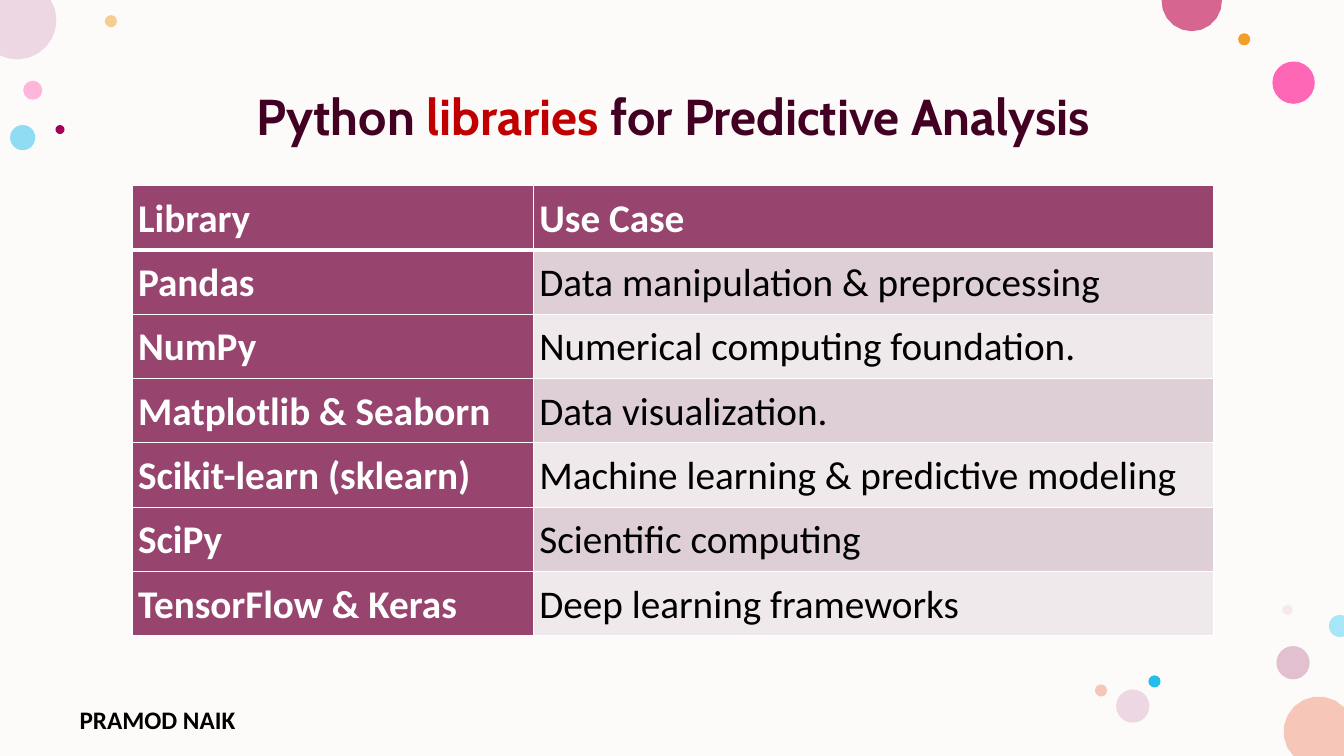
from math import cos, radians, sin

from lxml import etree
from pptx import Presentation
from pptx.dml.color import RGBColor
from pptx.enum.shapes import MSO_SHAPE
from pptx.enum.text import PP_ALIGN
from pptx.oxml.ns import qn
from pptx.util import Inches, Pt

SLIDE_WIDTH, SLIDE_HEIGHT = 13.33, 7.5

CREAM = RGBColor(0xFD, 0xFB, 0xF9)
WHITE = RGBColor(0xFF, 0xFF, 0xFF)
BLACK = RGBColor(0x00, 0x00, 0x00)
WINE = RGBColor(0x42, 0x00, 0x23)
RED = RGBColor(0xC0, 0x00, 0x00)
PLUM = RGBColor(0x97, 0x44, 0x6E)
BAND_DARK = RGBColor(0xDD, 0xCF, 0xD5)
BAND_LIGHT = RGBColor(0xEF, 0xE9, 0xEB)
PINK = RGBColor(0xFF, 0x75, 0xBD)
HOT_PINK = RGBColor(0xFF, 0x2F, 0x9C)
ORANGE = RGBColor(0xF3, 0x9E, 0x29)
MAUVE = RGBColor(0xC9, 0x87, 0xA8)
CYAN = RGBColor(0x24, 0xBE, 0xEE)
PALE_CYAN = RGBColor(0xA7, 0xE5, 0xF8)
BLUSH = RGBColor(0xE3, 0xBE, 0xBE)
LILAC = RGBColor(0xED, 0xD7, 0xE2)
PEACH = RGBColor(0xF6, 0xC7, 0xB9)
ROSE = RGBColor(0xD6, 0x65, 0x8F)
MAGENTA = RGBColor(0xA4, 0x00, 0x56)

DOTS = [
    (0.23, 0.8, 0.19, PINK, 50),
    (1.04, 0.15, 0.12, ORANGE, 50),
    (12.66, 6.41, 0.33, MAUVE, 50),
    (0.1, 1.24, 0.25, CYAN, 50),
    (12.62, 0.61, 0.42, HOT_PINK, 72),
    (12.28, 0.33, 0.12, ORANGE, 100),
    (12.72, 6, 0.1, BLUSH, 28),
    (11.39, 6.7, 0.12, CYAN, 100),
    (11.07, 6.84, 0.33, LILAC, 100),
    (10.86, 6.79, 0.12, PEACH, 100),
    (0.55, 1.24, 0.09, MAGENTA, 100),
]
EDGE_CIRCLES = [
    (13.08, 7.26, 0.35, 136, 316, [(SLIDE_WIDTH, SLIDE_HEIGHT)], PEACH),
    (0.17, 0.2, 0.39, -31, 116, [(0, 0)], LILAC),
    (11.82, 0.01, 0.3, -2, 182, [], ROSE),
    (13.29, 6.21, 0.11, 69, 291, [], PALE_CYAN),
]
LIBRARIES = [
    ("Library", "Use Case"),
    ("Pandas", "Data manipulation & preprocessing"),
    ("NumPy", "Numerical computing foundation."),
    ("Matplotlib & Seaborn", "Data visualization."),
    ("Scikit-learn (sklearn)", "Machine learning & predictive modeling"),
    ("SciPy", "Scientific computing"),
    ("TensorFlow & Keras", "Deep learning frameworks"),
]


def paint(shape, color, opacity=100):
    shape.shadow.inherit = False
    shape.line.fill.background()
    shape.fill.solid()
    shape.fill.fore_color.rgb = color
    if opacity < 100:
        color_element = shape.fill._xPr.find(qn("a:solidFill"))[0]
        etree.SubElement(color_element, qn("a:alpha"), val=str(opacity * 1000))


def format_run(run, font_name, size, color, bold=True):
    run.font.name = font_name
    run.font.size = Pt(size)
    run.font.bold = bold
    run.font.color.rgb = color


def add_preset(slide, preset, left, top, width, height, color, opacity=100):
    shape = slide.shapes.add_shape(
        preset, Inches(left), Inches(top), Inches(width), Inches(height))
    paint(shape, color, opacity)


def add_dots(slide):
    for left, top, diameter, color, opacity in DOTS:
        add_preset(slide, MSO_SHAPE.OVAL, left, top, diameter, diameter, color, opacity)


def add_edge_circles(slide, width, height, steps=10):
    for center_x, center_y, radius, start, end, corners, color in EDGE_CIRCLES:
        angles = [radians(start + (end - start) * step / steps) for step in range(steps + 1)]
        outline = [
            (min(max(center_x + radius * cos(angle), 0), width),
             min(max(center_y + radius * sin(angle), 0), height))
            for angle in angles
        ] + corners
        points = [(Inches(x), Inches(y)) for x, y in outline]
        builder = slide.shapes.build_freeform(*points[0])
        builder.add_line_segments(points[1:], close=True)
        paint(builder.convert_to_shape(), color)


def add_text(slide, left, top, width, height, parts, font_name, size):
    box = slide.shapes.add_textbox(Inches(left), Inches(top), Inches(width), Inches(height))
    box.text_frame.word_wrap = True
    paragraph = box.text_frame.paragraphs[0]
    for text, color in parts:
        run = paragraph.add_run()
        run.text = text
        format_run(run, font_name, size, color)
    return paragraph


def add_title(slide, left, top, width, height):
    parts = [("Python ", WINE), ("libraries", RED), (" for Predictive Analysis", WINE)]
    paragraph = add_text(slide, left, top, width, height, parts, "Cabin", 36)
    paragraph.alignment = PP_ALIGN.CENTER
    paragraph.line_spacing = 0.9
    paragraph.space_before = Pt(10)


def set_borders(cell, bottom):
    properties = cell._tc.get_or_add_tcPr()
    for side, points in (("L", 1), ("R", 1), ("T", 1), ("B", bottom)):
        line = etree.SubElement(properties, qn(f"a:ln{side}"), w=str(Pt(points)))
        fill = etree.SubElement(line, qn("a:solidFill"))
        etree.SubElement(fill, qn("a:srgbClr"), val=str(WHITE))


def fill_cell(cell, text, background, color, bold):
    cell.margin_left = cell.margin_right = Inches(0.06)
    cell.margin_top = cell.margin_bottom = Inches(0.06)
    cell.fill.solid()
    cell.fill.fore_color.rgb = background
    paragraph = cell.text_frame.paragraphs[0]
    paragraph.text = text
    paragraph.line_spacing = 1.07
    paragraph.space_after = Pt(8)
    format_run(paragraph.runs[0], "Calibri", 28, color, bold)


def add_library_table(slide, left, top, width, height):
    table = slide.shapes.add_table(
        len(LIBRARIES), 2, Inches(left), Inches(top), Inches(width), Inches(height)).table
    name_width = 3.98
    table.columns[0].width = Inches(name_width)
    table.columns[1].width = Inches(width - name_width)
    for row, texts in enumerate(LIBRARIES):
        for column, text in enumerate(texts):
            cell = table.cell(row, column)
            heading = row == 0 or column == 0
            band = BAND_DARK if row % 2 else BAND_LIGHT
            set_borders(cell, 3 if row == 0 else 1)
            fill_cell(cell, text, PLUM if heading else band,
                      WHITE if heading else BLACK, heading)


def build_slide(presentation):
    slide = presentation.slides.add_slide(presentation.slide_layouts[6])
    add_preset(slide, MSO_SHAPE.RECTANGLE, 0, 0, SLIDE_WIDTH, SLIDE_HEIGHT, CREAM)
    add_dots(slide)
    add_edge_circles(slide, SLIDE_WIDTH, SLIDE_HEIGHT)
    add_text(slide, 0.69, 6.94, 2.45, 0.32, [("PRAMOD NAIK", BLACK)], "Calibri", 18)
    add_title(slide, 0.85, 0.86, 11.66, 5.9)
    add_library_table(slide, 1.31, 1.84, 10.73, 4.47)


def main():
    presentation = Presentation()
    presentation.slide_width = Inches(SLIDE_WIDTH)
    presentation.slide_height = Inches(SLIDE_HEIGHT)
    build_slide(presentation)
    presentation.save("out.pptx")


if __name__ == "__main__":
    main()
